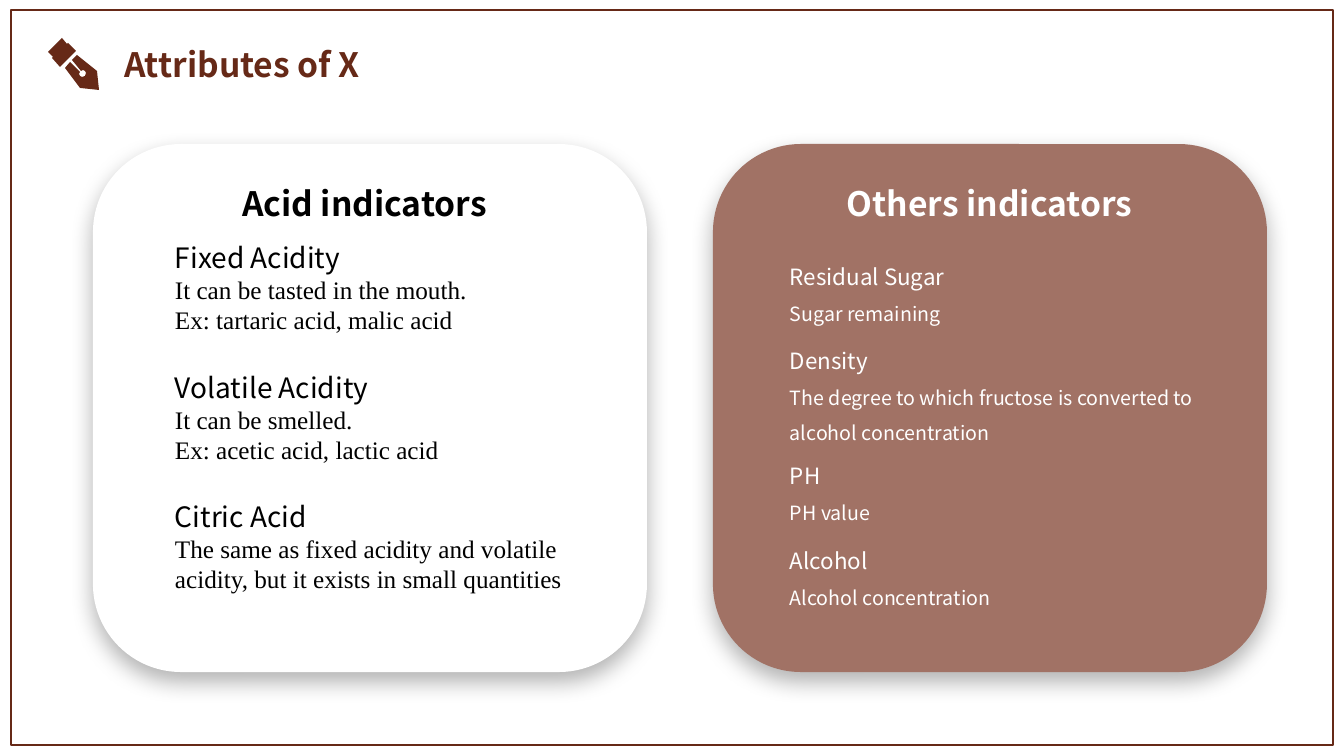
from dataclasses import dataclass

from lxml import etree
from pptx import Presentation, util as u
from pptx.dml.color import RGBColor
from pptx.enum import shapes, text
from pptx.oxml import ns

TITLE = "Attributes of X"
CARDS = [
    {
        "heading": "Acid indicators", "left": 93, "heading_left": 138, "text_left": 165,
        "width": 475, "fill": "FFFFFF", "color": "000000", "spacing": None,
        "name_size": 20, "note_size": 18, "note_font": "Times New Roman",
        "entries": [
            (236, 105, ["Fixed Acidity", "It can be tasted in the mouth.", "Ex: tartaric acid, malic acid"]),
            (366, 105, ["Volatile Acidity", "It can be smelled.", "Ex: acetic acid, lactic acid"]),
            (495, 105, ["Citric Acid", "The same as fixed acidity and volatile acidity, but it exists in small quantities"]),
        ],
    },
    {
        "heading": "Others indicators", "left": 713, "heading_left": 763, "text_left": 780,
        "width": 450, "fill": "A17265", "color": "FFFFFF", "spacing": 1.5,
        "name_size": 16, "note_size": 14, "note_font": "Noto Sans CJK JP",
        "entries": [
            (245, 84, ["Residual Sugar", "Sugar remaining"]),
            (329, 119, ["Density", "The degree to which fructose is converted to alcohol concentration"]),
            (444, 84, ["PH", "PH value"]),
            (529, 84, ["Alcohol", "Alcohol concentration"]),
        ],
    },
]
NIB_OUTLINES = [
    [(80, 88), (99, 90), (97, 71), (77, 55), (72, 60), (81, 71), (83, 70), (85, 71), (86, 73),
     (85, 76), (82, 77), (80, 76), (79, 74), (80, 72), (70, 62), (65, 68)],
    [(67, 44), (68, 43), (76, 51), (60, 67), (52, 58), (53, 57), (48, 52), (62, 38)],
]


@dataclass(frozen=True)
class Theme:
    font: str = "Noto Sans CJK JP"
    accent: str = "662917"
    shadow: str = "000000"
    heading: int = 24


THEME = Theme()
SCALE = 914400 / 100.8


def px(*lengths):
    return [u.Emu(round(length * SCALE)) for length in lengths]


def paint(fill, color):
    fill.solid()
    fill.fore_color.rgb = RGBColor.from_string(color)


def style(para, size, color, font=THEME.font, bold=False):
    for span in para.runs:
        span.font.name = font
        span.font.size = u.Pt(size)
        span.font.bold = bold
        span.font.color.rgb = RGBColor.from_string(color)


def add_text(slide, area, lines):
    box = slide.shapes.add_textbox(*px(*area))
    frame = box.text_frame
    frame.word_wrap = True
    frame.auto_size = text.MSO_AUTO_SIZE.SHAPE_TO_FIT_TEXT
    frame.text = "\n".join(lines)
    return frame.paragraphs


def add_shadow(shape):
    shape.shadow.inherit = False
    effects = shape._element.spPr.find(ns.qn("a:effectLst"))
    shadow = etree.SubElement(effects, ns.qn("a:outerShdw"), blurRad=str(u.Pt(16)),
                              dist=str(u.Pt(7)), dir="5400000", algn="t", rotWithShape="0")
    color = etree.SubElement(shadow, ns.qn("a:srgbClr"), val=THEME.shadow)
    etree.SubElement(color, ns.qn("a:alpha"), val="29000")


def add_frame(slide):
    frame = slide.shapes.add_shape(shapes.MSO_SHAPE.RECTANGLE, *px(11, 10, 1322, 735))
    frame.shadow.inherit = False
    frame.fill.background()
    frame.line.color.rgb = RGBColor.from_string(THEME.accent)
    frame.line.width = u.Pt(1)


def add_title(slide):
    title = slide.shapes.title
    title.left, title.top, title.width, title.height = px(114, 39, 387, 50)
    title.text_frame.text = TITLE
    title.text_frame.vertical_anchor = text.MSO_ANCHOR.TOP
    para = title.text_frame.paragraphs[0]
    para.alignment = text.PP_ALIGN.LEFT
    style(para, THEME.heading, THEME.accent, bold=True)


def add_nib(slide):
    first, *others = NIB_OUTLINES
    builder = slide.shapes.build_freeform(*first[0], scale=SCALE)
    builder.add_line_segments(first[1:], close=True)
    for outline in others:
        builder.move_to(*outline[0])
        builder.add_line_segments(outline[1:], close=True)
    nib = builder.convert_to_shape()
    nib.shadow.inherit = False
    paint(nib.fill, THEME.accent)
    nib.line.fill.background()


def add_card(slide, card):
    panel = slide.shapes.add_shape(shapes.MSO_SHAPE.ROUNDED_RECTANGLE, *px(card["left"], 144, 554, 528))
    paint(panel.fill, card["fill"])
    panel.line.fill.background()
    add_shadow(panel)
    heading = add_text(slide, (card["heading_left"], 178, 453, 50), [card["heading"]])[0]
    heading.alignment = text.PP_ALIGN.CENTER
    style(heading, THEME.heading, card["color"], bold=True)
    for top, height, lines in card["entries"]:
        name, *notes = add_text(slide, (card["text_left"], top, card["width"], height), lines)
        style(name, card["name_size"], card["color"])
        for note in notes:
            style(note, card["note_size"], card["color"], card["note_font"])
        for para in (name, *notes):
            para.line_spacing = card["spacing"]


def main():
    deck = Presentation()
    deck.slide_width, deck.slide_height = px(1344, 756)
    slide = deck.slides.add_slide(deck.slide_layouts[5])
    add_frame(slide)
    add_title(slide)
    add_nib(slide)
    for card in CARDS:
        add_card(slide, card)
    deck.save("out.pptx")


if __name__ == "__main__":
    main()
